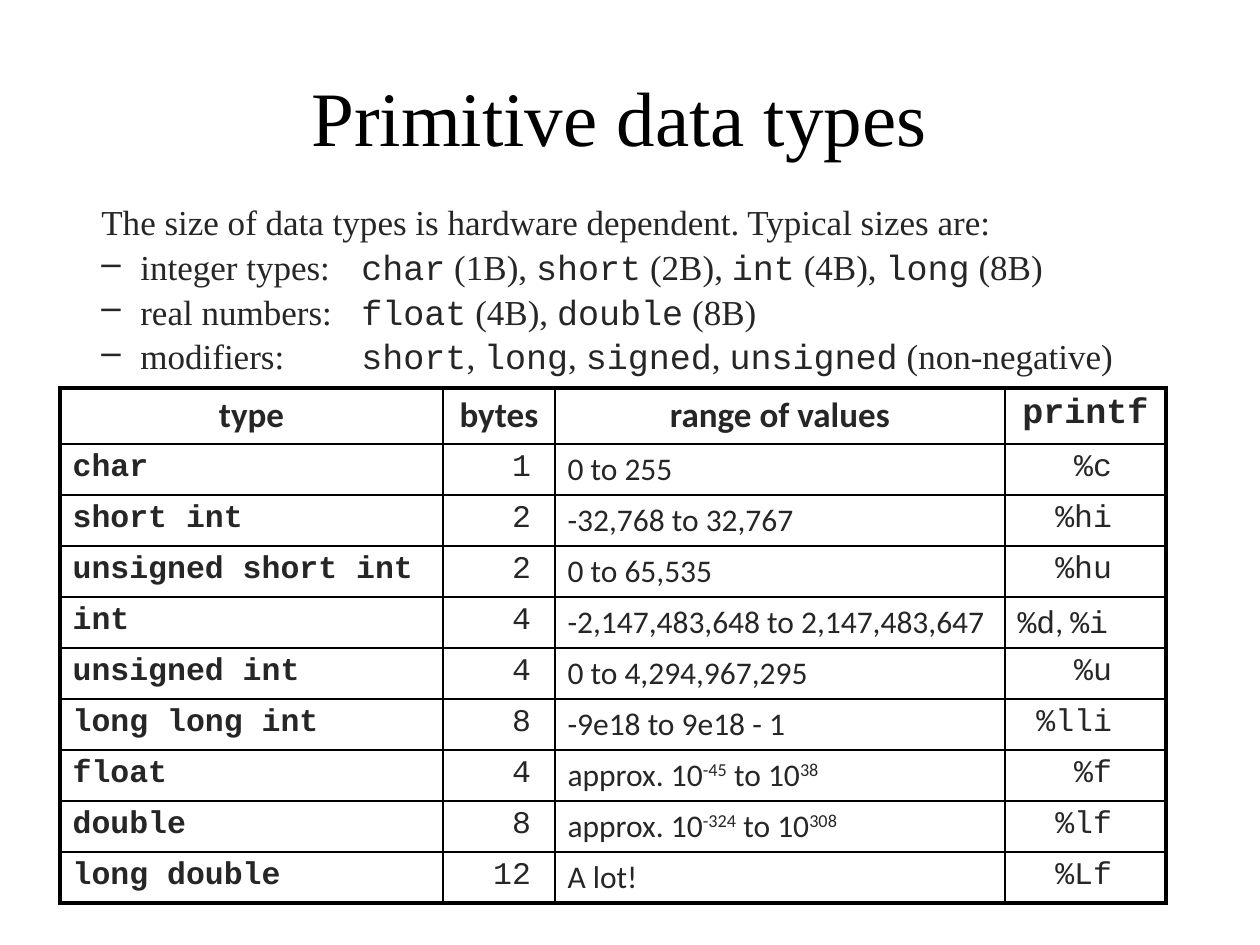
import pptx
import pptx.dml.color
import pptx.enum.text
import pptx.oxml
import pptx.oxml.ns
import pptx.util

PX = 914400 // 126
SERIF, SANS, MONO = "Times New Roman", "Calibri", "Courier New"
BLACK, DARK = "000000", "262626"
ALIGN = pptx.enum.text.PP_ALIGN
ANCHOR = pptx.enum.text.MSO_ANCHOR

# In the texts below, `...` marks code and ^...^ marks a superscript.
INTRO = "The size of data types is hardware dependent. Typical sizes are:"
BULLETS = [
    "integer types:\t`char` (1B), `short` (2B), `int` (4B), `long` (8B)",
    "real numbers:\t`float` (4B), `double` (8B)",
    "modifiers:\t`short`, `long`, `signed`, `unsigned` (non-negative)",
]
HEADER = ["type", "bytes", "range of values", "`printf`"]
ROWS = [
    ("char", 1, "0 to 255", "`%c`"),
    ("short int", 2, "-32,768 to 32,767", "`%hi`"),
    ("unsigned short int", 2, "0 to 65,535", "`%hu`"),
    ("int", 4, "-2,147,483,648 to 2,147,483,647", "`%d`, `%i`"),
    ("unsigned int", 4, "0 to 4,294,967,295", "`%u`"),
    ("long long int", 8, "-9e18 to 9e18 - 1", "`%lli`"),
    ("float", 4, "approx. 10^-45^ to 10^38^", "`%f`"),
    ("double", 8, "approx. 10^-324^ to 10^308^", "`%lf`"),
    ("long double", 12, "A lot!", "`%Lf`"),
]
COLUMN_WIDTHS = [383, 112, 450, 161]
HEADER_HEIGHT, ROW_HEIGHT = 56, 51


def px(n):
    return pptx.util.Emu(n * PX)


def color(value):
    return pptx.dml.color.RGBColor.from_string(value)


def xml(source):
    tag, rest = source[1:].split(" ", 1)
    return pptx.oxml.parse_xml(f"<{tag} {pptx.oxml.ns.nsdecls('a')} {rest}")


def add_run(p, text, font, size, fill=DARK, bold=False, raised=False):
    r = p.add_run()
    r.text = text
    formats = {"name": font, "size": pptx.util.Pt(size), "bold": bold}
    for name, value in formats.items():
        setattr(r.font, name, value)
    r.font.color.rgb = color(fill)
    if raised:
        r.font._element.set("baseline", "30000")


def add_marked_text(p, text, font, size, bold=False):
    for i, part in enumerate(text.split("`")):
        for j, piece in enumerate(part.split("^")):
            if piece:
                add_run(p, piece, MONO if i % 2 else font, size,
                        bold=bold, raised=j % 2 == 1)


def add_text_box(s, left, top, width, height, anchor=ANCHOR.TOP):
    sp = s.shapes.add_textbox(px(left), px(top), px(width), px(height))
    tf = sp.text_frame
    tf.word_wrap = True
    tf.vertical_anchor = anchor
    return tf


def format_body_paragraph(p, bullet):
    p.line_spacing = 0.9
    pPr = p._p.get_or_add_pPr()
    pPr.set("marL", str(px(102 if bullet else 63)))
    pPr.set("indent", str(px(-39 if bullet else 0)))
    pPr.append(xml('<a:spcBef ><a:spcPct val="20000"/></a:spcBef>'))
    pPr.append(xml('<a:buChar char="–"/>' if bullet else "<a:buNone />"))
    if bullet:
        pPr.append(xml(f'<a:tabLst ><a:tab pos="{px(323)}" algn="l"/></a:tabLst>'))


def add_body(s):
    tf = add_text_box(s, 26, 199, 1260, 766)
    for i, line in enumerate([INTRO] + BULLETS):
        p = tf.add_paragraph() if i else tf.paragraphs[0]
        format_body_paragraph(p, bullet=i > 0)
        add_marked_text(p, line, SERIF, 20)


def set_borders(cell, widths):
    tcPr = cell._tc.get_or_add_tcPr()
    for side in "LRTB":
        tcPr.append(xml(
            f'<a:ln{side} w="{pptx.util.Pt(widths[side])}"><a:solidFill>'
            f'<a:srgbClr val="{BLACK}"/></a:solidFill></a:ln{side}>'))


def fill_cell(cell, row, column, text):
    p = cell.text_frame.paragraphs[0]
    if row == 0:
        p.alignment = ALIGN.CENTER
        add_marked_text(p, text, SANS, 20, bold=True)
        return
    # Byte counts and single printf codes line up at the right
    if column == 1 or (column == 3 and "," not in text):
        p.alignment = ALIGN.RIGHT
        cell.margin_right = px(24 if column == 1 else 54)
    font = MONO if column < 2 else SANS
    add_marked_text(p, text, font, 18, bold=column == 0)


def add_type_table(s):
    data = [HEADER] + ROWS
    last_row, last_column = len(data) - 1, len(HEADER) - 1
    height = HEADER_HEIGHT + ROW_HEIGHT * len(ROWS)
    frame = s.shapes.add_table(len(data), len(HEADER), px(60), px(388),
                               px(sum(COLUMN_WIDTHS)), px(height))
    table = frame.table
    table.first_row = table.horz_banding = False
    for column, width in zip(table.columns, COLUMN_WIDTHS):
        column.width = px(width)
    for i, values in enumerate(data):
        table.rows[i].height = px(ROW_HEIGHT if i else HEADER_HEIGHT)
        for j, value in enumerate(values):
            cell = table.cell(i, j)
            fill_cell(cell, i, j, str(value))
            outer = {"L": j == 0, "R": j == last_column,
                     "T": i == 0, "B": i == last_row}
            set_borders(cell, {k: 2.25 if v else 1 for k, v in outer.items()})
            cell.fill.background()


def main():
    prs = pptx.Presentation()
    prs.slide_width, prs.slide_height = px(1260), px(945)
    s = prs.slides.add_slide(prs.slide_layouts[6])

    # Title
    p = add_text_box(s, 84, 37, 1071, 157, ANCHOR.MIDDLE).paragraphs[0]
    p.alignment = ALIGN.CENTER
    add_run(p, "Primitive data types", SERIF, 44, BLACK)

    # Introduction and table of types
    add_body(s)
    add_type_table(s)
    prs.save("out.pptx")


main()
